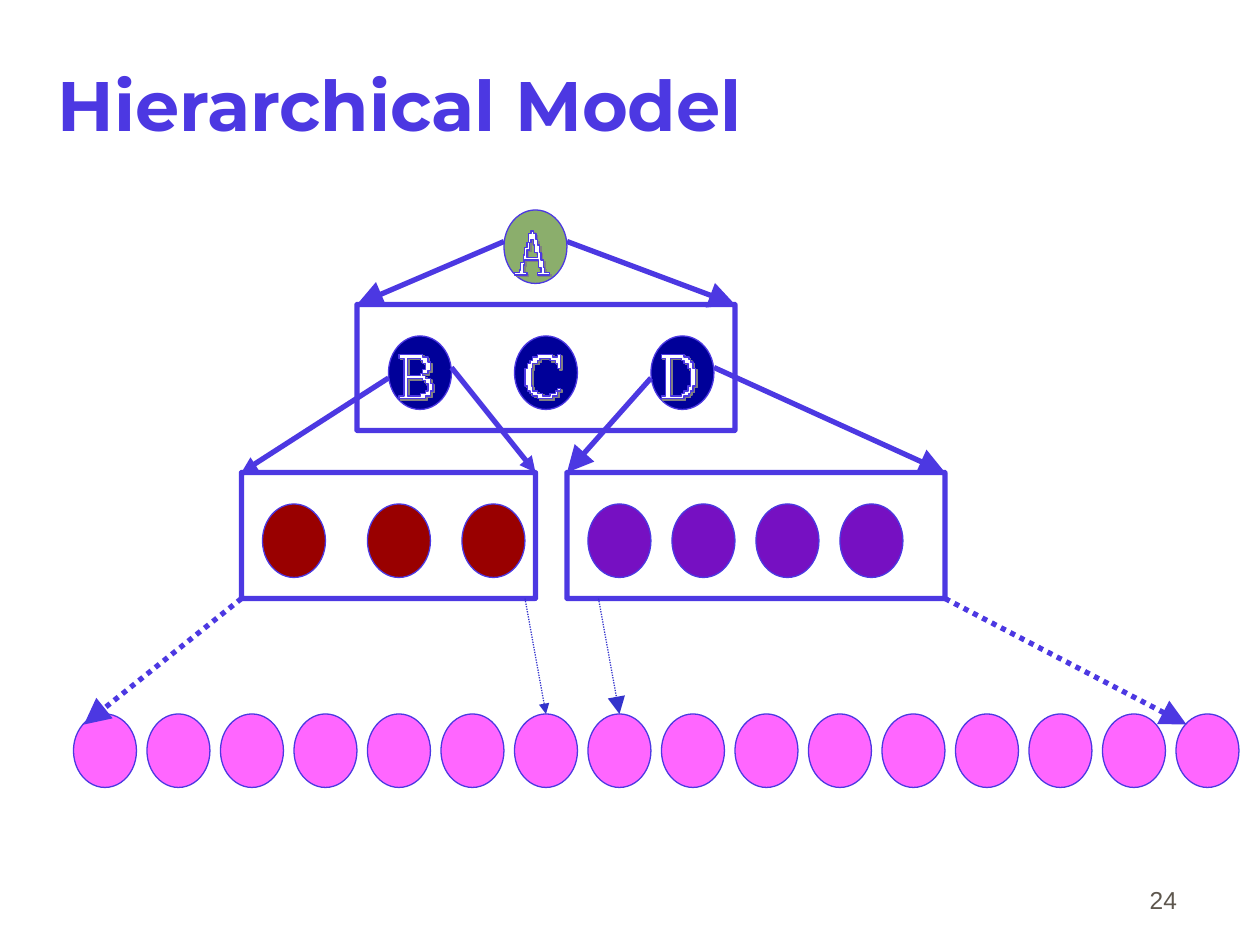
from lxml import etree
from pptx import Presentation
from pptx.dml.color import RGBColor
from pptx.enum.dml import MSO_LINE
from pptx.enum.shapes import MSO_CONNECTOR, MSO_SHAPE
from pptx.enum.text import MSO_ANCHOR, PP_ALIGN
from pptx.oxml.ns import qn
from pptx.util import Inches, Pt

INDIGO, BLUE, GREEN, NAVY = "4C38E2", "3333CC", "8BAE6C", "000099"
RED, PURPLE, PINK, WHITE, GREY = "990000", "7610C2", "FF66FF", "FFFFFF", "5E574E"

# Diagram lengths are cells of a grid with 12 cells to the inch.
CELL = Inches(1) / 12
NODE_W, NODE_H, BOX_H = 6, 7, 12
LEAF_PITCH = 7

# top, colour, lefts
NODE_ROWS = [
    (20, GREEN, [48]),
    (32, NAVY, [37, 49, 62]),
    (48, RED, [25, 35, 44]),
    (48, PURPLE, [56, 64, 72, 80]),
    (68, PINK, [7 + i * LEAF_PITCH for i in range(16)]),
]
BOXES = [(34, 29, 36), (23, 45, 28), (54, 45, 36)]  # left, top, width

# from, to, colour, width, dotted, arrowhead size
ARROWS = [
    ((48, 23), (34, 29), INDIGO, 3, False, "lg"),
    ((54, 23), (70, 29), INDIGO, 3, False, "lg"),
    ((37, 36), (23, 45), INDIGO, 3, False, "med"),
    ((43, 35), (51, 45), INDIGO, 3, False, "med"),
    ((62, 36), (54, 45), INDIGO, 3, False, "lg"),
    ((68, 35), (90, 45), INDIGO, 3, False, "lg"),
    ((23, 57), (8, 69), INDIGO, 3, True, "lg"),
    ((90, 57), (113, 69), INDIGO, 3, True, "lg"),
    ((50, 57), (52, 68), BLUE, 0.75, True, "med"),
    ((57, 57), (59, 68), BLUE, 0.75, True, "lg"),
]

# Stepped outlines in hundredths of an inch: every second corner, x,y.
A = ["13,7 15,11 16,17 18,21 10,15 12,9",
     "13,0 15,2 17,7 18,11 20,17 21,23 23,29 24,33 28,35 18,33 21,29 19,23 "
     "8,27 7,33 10,35 0,33 4,31 5,25 7,19 8,13 10,9 11,2"]
B = ["7,3 17,5 19,7 21,12 19,15 17,17",
     "7,19 19,21 21,23 23,29 21,31 17,33",
     "0,0 19,2 23,6 25,13 23,15 19,17 21,19 25,23 27,29 25,33 21,35 0,33 4,3"]
C = ["10,0 22,2 26,0 28,11 26,7 24,5 20,3 12,5 10,7 6,11 5,25 6,29 10,31 14,33 "
     "20,31 24,29 26,27 28,29 26,33 22,35 10,33 6,31 4,29 2,25 0,11 2,7 4,5 6,2"]
D = ["7,3 16,5 18,7 21,11 23,25 21,29 18,31 16,33",
     "0,0 18,2 22,4 23,6 25,11 27,25 25,29 23,31 22,33 18,35 0,33 3,3"]
LETTERS = [(49, 22, A), (38, 33.75, B), (50, 33.75, C), (63, 33.75, D)]


def rgb(color):
    return RGBColor.from_string(color)


def grid(*cells):
    return [round(c * CELL) for c in cells]


def style(sp, fill, width):
    sp.shadow.inherit = False
    if fill:
        sp.fill.solid()
        sp.fill.fore_color.rgb = rgb(fill)
    else:
        sp.fill.background()
    sp.line.color.rgb = rgb(INDIGO)
    sp.line.width = Pt(width)


def put_text(sp, text, *, size, font, color, bold=False, align=PP_ALIGN.LEFT,
             anchor=MSO_ANCHOR.MIDDLE, side=0.1):
    tf = sp.text_frame
    tf.word_wrap = True
    tf.vertical_anchor = anchor
    tf.margin_left = tf.margin_right = Inches(side)
    tf.margin_top = tf.margin_bottom = Inches(0.05)
    p = tf.paragraphs[0]
    p.alignment = align
    r = p.add_run()
    r.text = text
    r.font.size, r.font.name, r.font.bold = Pt(size), font, bold
    r.font.color.rgb = rgb(color)


def add_node(left, top, color):
    sp = shapes.add_shape(MSO_SHAPE.OVAL, *grid(left, top, NODE_W, NODE_H))
    style(sp, color, 0.75)


def add_box(left, top, width):
    sp = shapes.add_shape(MSO_SHAPE.ROUNDED_RECTANGLE, *grid(left, top, width, BOX_H))
    sp.adjustments[0] = 0.002
    style(sp, None, 3)


def add_arrow(start, end, color, width, dotted, head):
    line = shapes.add_connector(MSO_CONNECTOR.STRAIGHT, *grid(*start, *end))
    line.line.color.rgb = rgb(color)
    line.line.width = Pt(width)
    if dotted:
        line.line.dash_style = MSO_LINE.ROUND_DOT
    etree.SubElement(line.line._get_or_add_ln(), qn("a:tailEnd"),
                     type="triangle", w=head, len=head)
    etree.SubElement(line._element.spPr, qn("a:effectLst"))


def stepped(outline):
    """Return all corners of a stepped outline, going across and then down."""
    corners = [tuple(map(int, c.split(","))) for c in outline.split()]
    points = []
    for (x, y), (next_x, _) in zip(corners, corners[1:] + corners[:1]):
        points += [(x, y), (next_x, y)]
    return points


def add_letter(left, top, outlines):
    builder = None
    for outline in outlines:
        first, *rest = stepped(outline)
        if builder is None:
            builder = shapes.build_freeform(*first, scale=Inches(1) / 100)
        else:
            builder.move_to(*first)
        builder.add_line_segments(rest, close=True)
    sp = builder.convert_to_shape(*grid(left, top))
    style(sp, WHITE, 0.75)
    effects = sp._element.spPr.find(qn("a:effectLst"))
    shadow = etree.SubElement(effects, qn("a:outerShdw"),
                              dist=str(Pt(1.4)), dir="2700000")
    etree.SubElement(shadow, qn("a:srgbClr"), val="808080")


prs = Presentation()
prs.slide_width, prs.slide_height = Inches(10), Inches(7.5)
slide = prs.slides.add_slide(prs.slide_layouts[5])
shapes = slide.shapes

title = shapes.title
title.left, title.top, title.width, title.height = map(Inches, (0.44, 0.2, 8.5, 1.25))
put_text(title, "Hierarchical Model", size=40, font="Montserrat", color=INDIGO,
         bold=True, side=0.02)
number = shapes.add_textbox(*map(Inches, (7.36, 6.81, 2.08, 0.5)))
put_text(number, "24", size=14, font="Arial", color=GREY, align=PP_ALIGN.RIGHT,
         anchor=MSO_ANCHOR.BOTTOM)

for top, color, lefts in NODE_ROWS:
    for left in lefts:
        add_node(left, top, color)
for box in BOXES:
    add_box(*box)
for arrow in ARROWS:
    add_arrow(*arrow)
for letter in LETTERS:
    add_letter(*letter)

prs.save("out.pptx")
